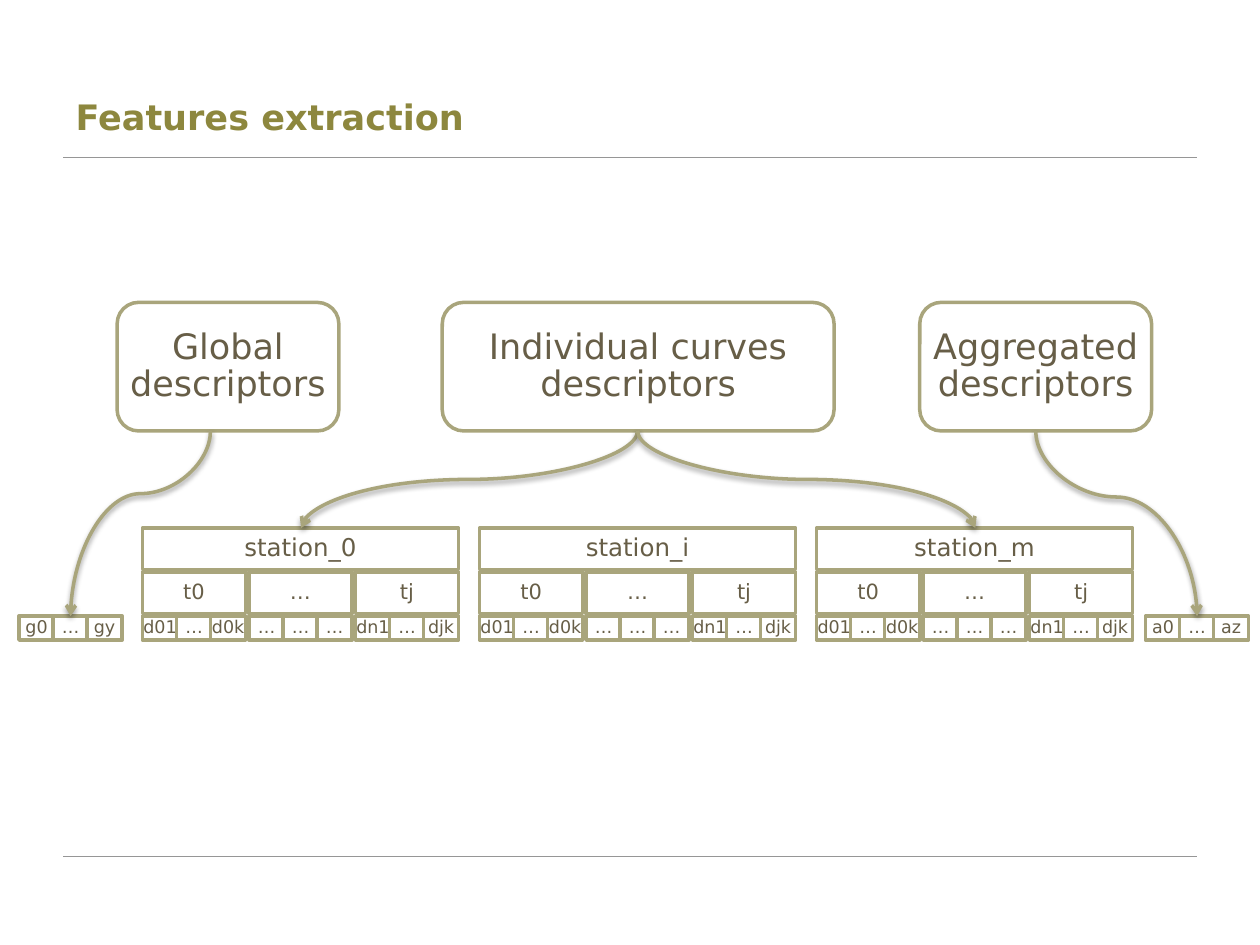
import dataclasses
import typing

import lxml.etree
import pptx
import pptx.dml.color
import pptx.enum.shapes
import pptx.enum.text
import pptx.oxml.ns
import pptx.util

Inches = pptx.util.Inches
Pt = pptx.util.Pt
qn = pptx.oxml.ns.qn
ShapeKind = pptx.enum.shapes.MSO_SHAPE
ConnectorKind = pptx.enum.shapes.MSO_CONNECTOR
Align = pptx.enum.text.PP_ALIGN


@dataclasses.dataclass(frozen=True)
class Theme:
    font: str = "DejaVu Sans"
    title: str = "8D873E"
    text: str = "675E47"
    outline: str = "A9A57C"
    fill: str = "FFFFFF"
    rule: str = "969696"
    heading_size: int = 20
    station_size: int = 14
    period_size: int = 12
    cell_size: int = 10
    outline_width: float = 2
    rule_width: float = 0.75


@dataclasses.dataclass(frozen=True)
class Box:
    text: str
    left: float
    top: float
    width: float
    height: float
    size: int
    kind: typing.Any = ShapeKind.RECTANGLE


@dataclasses.dataclass(frozen=True)
class Curve:
    source: typing.Any
    target: typing.Any
    start: tuple[float, float]
    end: tuple[float, float]
    bend: int
    glue_source: bool = True


THEME = Theme()

# Grid of the descriptor vectors, in inches
CELL_WIDTH, CELL_HEIGHT, CELL_PITCH, CELL_TOP = 0.28, 0.19, 0.27, 4.89
STATION_LEFT, STATION_WIDTH, STATION_TOP = 1.13, 2.51, 4.19
STATION_PITCH = (6.48 - STATION_LEFT) / 2
PERIOD_WIDTH, PERIOD_TOP = 0.82, 4.54
PERIOD_PITCH = (STATION_WIDTH - PERIOD_WIDTH) / 2
ROW_HEIGHT = 0.33
HEADING_TOP, HEADING_HEIGHT = 2.4, 1.02

STATIONS = ("station_0", "station_i", "station_m")
PERIODS = {
    "t0": ("d01", "…", "d0k"),
    "…": ("…", "…", "…"),
    "tj": ("dn1", "…", "djk"),
}


def rgb(value: str) -> pptx.dml.color.RGBColor:
    return pptx.dml.color.RGBColor.from_string(value)


def apply_format(target: typing.Any, values: dict[str, typing.Any]) -> None:
    for name, value in values.items():
        setattr(target, name, value)


def format_font(font: typing.Any, size: int, color: str, bold: bool = False) -> None:
    apply_format(font, {"name": THEME.font, "size": Pt(size), "bold": bold})
    font.color.rgb = rgb(color)


def format_line(line: typing.Any, color: str, width: float) -> None:
    line.color.rgb = rgb(color)
    line.width = Pt(width)


def draw_box(shapes: typing.Any, box: Box) -> typing.Any:
    shape = shapes.add_shape(
        box.kind, Inches(box.left), Inches(box.top), Inches(box.width), Inches(box.height)
    )
    shape.shadow.inherit = False
    shape.fill.solid()
    shape.fill.fore_color.rgb = rgb(THEME.fill)
    format_line(shape.line, THEME.outline, THEME.outline_width)
    frame = shape.text_frame
    margins = {f"margin_{side}": 0 for side in ("left", "top", "right", "bottom")}
    anchor = pptx.enum.text.MSO_ANCHOR.MIDDLE
    apply_format(frame, {"word_wrap": True, "vertical_anchor": anchor, **margins})
    paragraph = frame.paragraphs[0]
    apply_format(paragraph, {"text": box.text, "alignment": Align.CENTER, "line_spacing": 0.9})
    format_font(paragraph.runs[0].font, box.size, THEME.text)
    return shape


def draw_heading(slide: typing.Any, text: str, left: float, width: float) -> typing.Any:
    return draw_box(slide.shapes, Box(text, left, HEADING_TOP, width, HEADING_HEIGHT,
                                      THEME.heading_size, ShapeKind.ROUNDED_RECTANGLE))


def draw_cells(shapes: typing.Any, labels: typing.Sequence[str], left: float) -> list:
    return [
        draw_box(shapes, Box(label, left + index * CELL_PITCH, CELL_TOP,
                             CELL_WIDTH, CELL_HEIGHT, THEME.cell_size))
        for index, label in enumerate(labels)
    ]


def draw_station(slide: typing.Any, name: str, left: float) -> typing.Any:
    shapes = slide.shapes.add_group_shape().shapes
    for index, (period, cells) in enumerate(PERIODS.items()):
        period_left = left + index * PERIOD_PITCH
        draw_cells(shapes, cells, period_left)
        draw_box(shapes, Box(period, period_left, PERIOD_TOP, PERIOD_WIDTH,
                             ROW_HEIGHT, THEME.period_size))
    return draw_box(shapes, Box(name, left, STATION_TOP, STATION_WIDTH,
                                ROW_HEIGHT, THEME.station_size))


def draw_rule(slide: typing.Any, top: float) -> None:
    rule = slide.shapes.add_connector(
        ConnectorKind.STRAIGHT, Inches(0.5), Inches(top), Inches(9.5), Inches(top)
    )
    format_line(rule.line, THEME.rule, THEME.rule_width)
    lxml.etree.SubElement(rule._element.spPr, qn("a:effectLst"))


def draw_curve(slide: typing.Any, curve: Curve) -> None:
    (x1, y1), (x2, y2) = curve.start, curve.end
    connector = slide.shapes.add_connector(
        ConnectorKind.CURVE, Inches(x1), Inches(y1), Inches(x2), Inches(y2)
    )
    if curve.glue_source:
        connector.begin_connect(curve.source, 2)
    connector.end_connect(curve.target, 0)
    # A quarter turn makes the curve leave and arrive vertically
    run, drop = abs(x2 - x1), y2 - y1
    apply_format(connector, {
        "left": Inches((x1 + x2 - drop) / 2), "top": Inches((y1 + y2 - run) / 2),
        "width": Inches(drop), "height": Inches(run),
    })
    properties = connector._element.spPr
    frame = properties.find(qn("a:xfrm"))
    rightward = x2 > x1
    frame.set("rot", "16200000" if rightward else "5400000")
    frame.set("flipH", "1" if rightward else "0")
    guides = properties.find(qn("a:prstGeom")).get_or_add_avLst()
    lxml.etree.SubElement(guides, qn("a:gd"), name="adj1", fmla=f"val {curve.bend}")
    # Outline, arrowhead and soft shadow
    format_line(connector.line, THEME.outline, THEME.outline_width)
    outline = properties.find(qn("a:ln"))
    lxml.etree.SubElement(outline, qn("a:tailEnd"), type="arrow")
    effects = lxml.etree.SubElement(properties, qn("a:effectLst"))
    shadow = lxml.etree.SubElement(effects, qn("a:outerShdw"), blurRad="40000",
                                   dist="20000", dir="5400000", rotWithShape="0")
    color = lxml.etree.SubElement(shadow, qn("a:srgbClr"), val="000000")
    lxml.etree.SubElement(color, qn("a:alpha"), val="38000")


def main() -> None:
    presentation = pptx.Presentation()
    apply_format(presentation, {"slide_width": Inches(10), "slide_height": Inches(7.5)})
    slide = presentation.slides.add_slide(presentation.slide_layouts[5])

    # Title and rules
    title = slide.shapes.title
    apply_format(title, {"left": Inches(0.5), "top": Inches(0.3),
                         "width": Inches(9), "height": Inches(1.25)})
    paragraph = title.text_frame.paragraphs[0]
    apply_format(paragraph, {"text": "Features extraction", "alignment": Align.LEFT})
    format_font(paragraph.runs[0].font, THEME.heading_size, THEME.title, bold=True)
    for top in (6.8, 1.25):
        draw_rule(slide, top)

    # Descriptor families
    global_box = draw_heading(slide, "Global descriptors", 0.93, 1.76)
    aggregated_box = draw_heading(slide, "Aggregated descriptors", 7.3, 1.84)
    individual_box = draw_heading(slide, "Individual curves descriptors", 3.51, 3.11)

    # Descriptor vectors
    stations = [draw_station(slide, name, STATION_LEFT + index * STATION_PITCH)
                for index, name in enumerate(STATIONS)]
    global_cells, aggregated_cells = (
        draw_cells(slide.shapes.add_group_shape().shapes, labels, left)
        for labels, left in ((("g0", "…", "gy"), 0.15), (("a0", "…", "az"), 9.09))
    )

    # Arrows from families to vectors
    bottom = HEADING_TOP + HEADING_HEIGHT
    for curve in (
        Curve(global_box, global_cells[1], (1.67, bottom), (0.56, CELL_TOP), 33900, False),
        Curve(individual_box, stations[0], (5.06, bottom), (2.39, STATION_TOP), 50000),
        Curve(individual_box, stations[2], (5.06, bottom), (7.74, STATION_TOP), 50000),
        Curve(aggregated_box, aggregated_cells[1], (8.22, bottom), (9.5, CELL_TOP), 35700),
    ):
        draw_curve(slide, curve)

    presentation.save("out.pptx")


if __name__ == "__main__":
    main()
